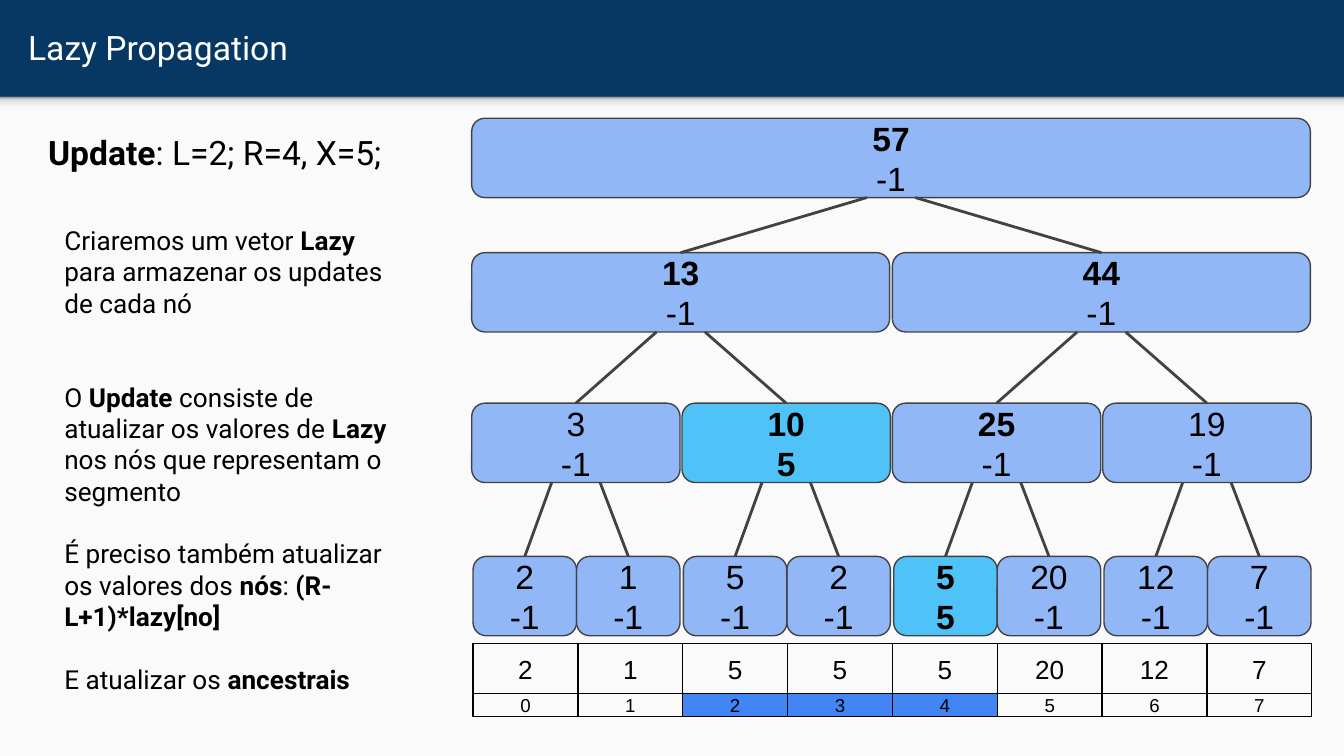
from copy import deepcopy
from lxml import etree
from pptx import Presentation
from pptx.dml.color import RGBColor
from pptx.enum.shapes import MSO_CONNECTOR as Line, MSO_SHAPE as Kind
from pptx.enum.text import MSO_ANCHOR as Anchor, PP_ALIGN as Align
from pptx.oxml.ns import qn
from pptx.util import Inches, Pt

NAVY = RGBColor(0x07, 0x37, 0x63)
PAPER = RGBColor(0xFA, 0xFA, 0xFA)
WHITE = RGBColor(0xFF, 0xFF, 0xFF)
BLACK = RGBColor(0, 0, 0)
GRAY = RGBColor(0x42, 0x42, 0x42)
BLUE = RGBColor(0x42, 0x85, 0xF4)
CYAN = RGBColor(0x4F, 0xC3, 0xF7)
SHADE = [(0, RGBColor(0xF9, 0xF9, 0xF9)), (0.36, RGBColor(0xF9, 0xF9, 0xF9)),
         (0.8, RGBColor(0xDE, 0xDE, 0xDE)), (1, RGBColor(0x99, 0x99, 0x99))]


def write(shape, lines, size=18, font="Arial", color=BLACK,
          align=Align.CENTER, anchor=Anchor.MIDDLE, gaps=()):
    """Fill a shape with paragraphs; text between bars is bold."""
    frame = shape.text_frame
    frame.word_wrap = True
    frame.vertical_anchor = anchor
    frame.margin_left = frame.margin_right = Inches(0.1)
    frame.margin_top = frame.margin_bottom = Inches(0.1)
    for i, line in enumerate(lines):
        para = frame.paragraphs[0] if i == 0 else frame.add_paragraph()
        para.alignment = align
        para.space_before = Pt(gaps[i] if gaps else 0)
        for j, part in enumerate(line.split("|")):
            if part:
                run = para.add_run()
                run.text = part
                run.font.size = Pt(size)
                run.font.name = font
                run.font.bold = j % 2 == 1
                run.font.color.rgb = color


def draw(kind, x, y, w, h, fill=None, edge=None):
    shape = slide.shapes.add_shape(kind, Inches(x), Inches(y), Inches(w), Inches(h))
    shape.shadow.inherit = False
    if fill is None:
        shape.fill.background()
    else:
        shape.fill.solid()
        shape.fill.fore_color.rgb = fill
    if edge is None:
        shape.line.fill.background()
    else:
        shape.line.color.rgb = edge
        shape.line.width = Pt(0.75)
    return shape


# A 16:9 slide
deck = Presentation()
deck.slide_width, deck.slide_height = Inches(10), Inches(10 * 9 / 16)
slide = deck.slides.add_slide(deck.slide_layouts[5])

# Background, body and the soft strip under the header
slide.background.fill.solid()
slide.background.fill.fore_color.rgb = NAVY
draw(Kind.RECTANGLE, 0, 0.72, 10, 4.91, PAPER)
strip = draw(Kind.RECTANGLE, 0, 0.72, 10, 0.12)
strip.fill.gradient()
strip.fill.gradient_angle = 90
stops = strip._element.spPr.find(qn("a:gradFill")).find(qn("a:gsLst"))
for stop in list(stops):
    stops.append(deepcopy(stop))
for stop, (place, color) in zip(strip.fill.gradient_stops, SHADE):
    stop.position = place
    stop.color.rgb = color

# Title
title = slide.shapes.title
title.left, title.top = Inches(0.11), Inches(0.02)
title.width, title.height = Inches(9.65), Inches(0.66)
write(title, ["Lazy Propagation"], font="Roboto", color=WHITE, align=Align.LEFT)

# Array with its indexes; the updated range is filled
for i, value in enumerate([2, 1, 5, 5, 5, 20, 12, 7]):
    x = 3.52 + 0.78 * i
    cell = draw(Kind.RECTANGLE, x, 4.79, 0.78, 0.37, edge=BLACK)
    write(cell, [str(value)], size=14)
    index = draw(Kind.RECTANGLE, x, 5.16, 0.78, 0.17,
                 BLUE if 2 <= i <= 4 else None, BLACK)
    write(index, [str(i)], size=10)

# Segment tree: top, width and (value, lazy) of the nodes in each level
levels = [
    (0.88, 6.24, [("|57|", "-1")]),
    (1.88, 3.11, [("|13|", "-1"), ("|44|", "-1")]),
    (3.0, 1.55, [("3", "-1"), ("|10|", "|5|"), ("|25|", "-1"), ("19", "-1")]),
    (4.14, 0.77, [("2", "-1"), ("1", "-1"), ("5", "-1"), ("2", "-1"),
                  ("|5|", "|5|"), ("20", "-1"), ("12", "-1"), ("7", "-1")]),
]
above = []
for depth, (y, w, nodes) in enumerate(levels):
    row = []
    for i, pair in enumerate(nodes):
        if depth == 3:
            x = 3.52 + 6.26 / 4 * (i // 2) + w * (i % 2)
        else:
            x = 3.51 + 6.26 / len(nodes) * i
        done = pair[1] == "|5|"
        node = draw(Kind.ROUNDED_RECTANGLE, x, y, w, 0.59,
                    CYAN if done else BLUE, GRAY)
        if not done:
            tint = node._element.spPr.find(qn("a:solidFill"))[0]
            etree.SubElement(tint, qn("a:alpha")).set("val", "57000")
        write(node, pair)
        row.append(node)

        # Branch from the parent, left or right of its middle
        if above:
            top = above[i // 2]
            side = Inches(0.18) * (1 if i % 2 else -1)
            link = slide.shapes.add_connector(
                Line.STRAIGHT, top.left + top.width // 2 + side,
                top.top + top.height, node.left + node.width // 2, node.top)
            link.end_connect(node, 0)
            link.line.color.rgb = GRAY
            link.line.width = Pt(1.5)
            etree.SubElement(link._element.spPr, qn("a:effectLst"))
    above = row

# Notes on the left
query = slide.shapes.add_textbox(Inches(0.26), Inches(0.88), Inches(2.81), Inches(0.81))
write(query, ["|Update|: L=2; R=4, X=5;"], font="Roboto",
      align=Align.LEFT, anchor=Anchor.TOP)
steps = slide.shapes.add_textbox(Inches(0.38), Inches(1.57), Inches(2.68), Inches(3.74))
write(steps, [
    "Criaremos um vetor |Lazy| para armazenar os updates de cada nó",
    "O |Update| consiste de atualizar os valores de |Lazy| nos nós que representam o segmento",
    "É preciso também atualizar os valores dos |nós|: |(R-L+1)*lazy[no]|",
    "E atualizar os |ancestrais|",
], size=14, font="Roboto", align=Align.LEFT, anchor=Anchor.TOP, gaps=(0, 33.5, 16.7, 16.7))

deck.save("out.pptx")
